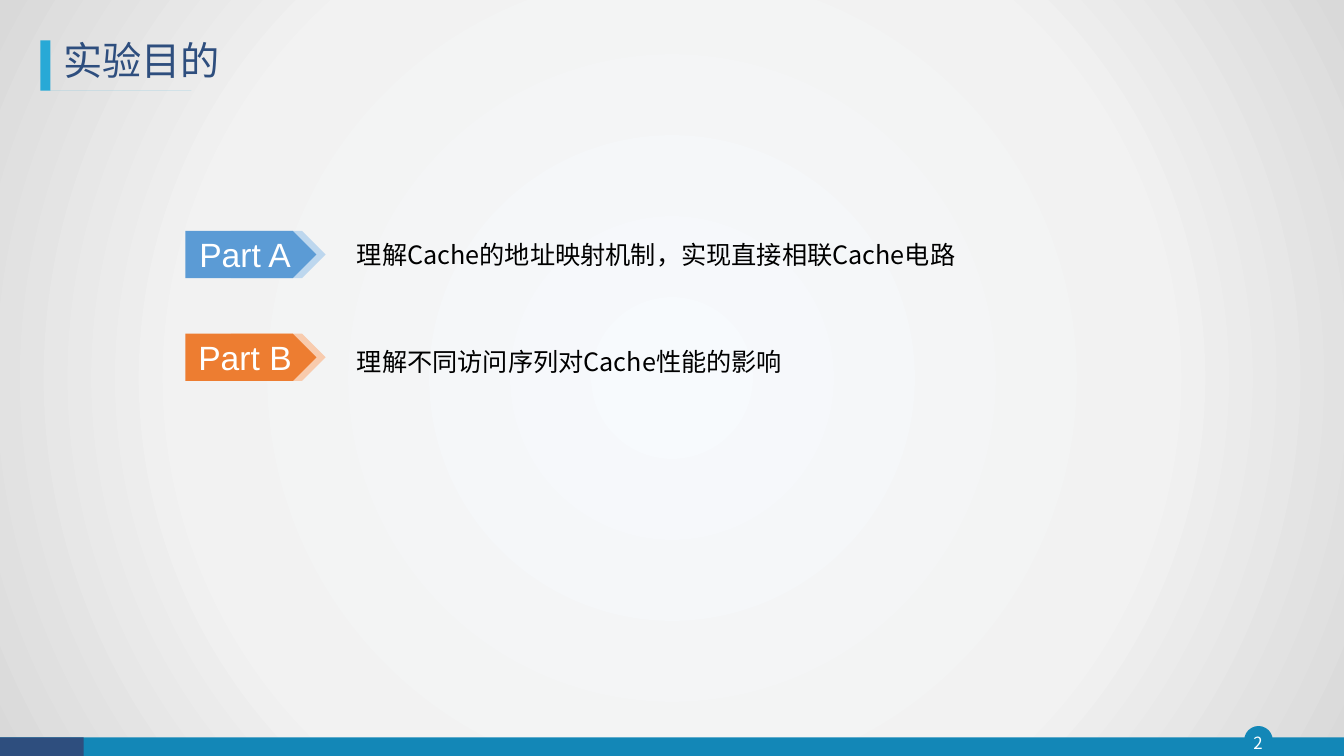
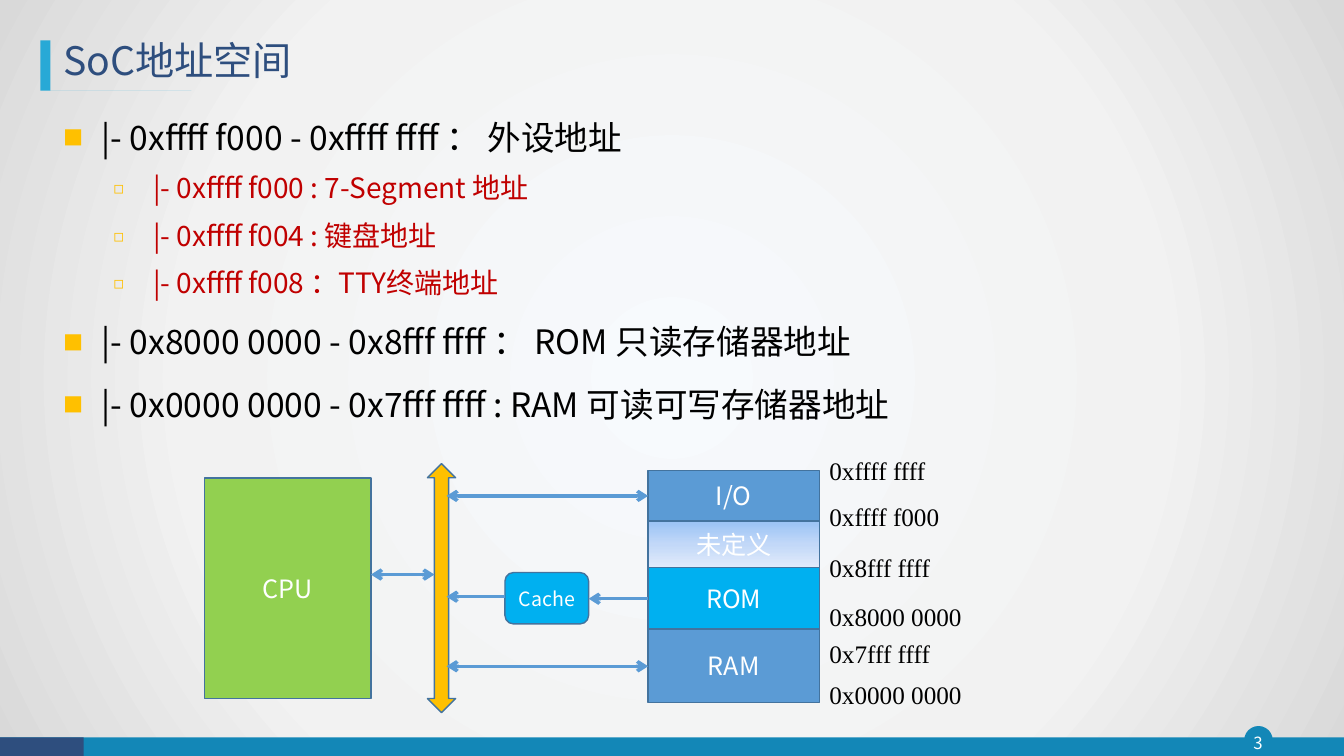
from dataclasses import dataclass
from itertools import accumulate

from lxml.etree import SubElement as Sub
from pptx import Presentation
from pptx.dml.color import RGBColor as RGB
from pptx.enum.shapes import MSO_CONNECTOR as Conn, MSO_SHAPE as Kind
from pptx.enum.text import MSO_ANCHOR as Anchor, PP_ALIGN as Align
from pptx.oxml import parse_xml
from pptx.oxml.ns import nsdecls, qn
from pptx.util import Inches, Pt

# The grid: square cells, ten to the inch.
CELL = Inches(0.1)
COLS, ROWS = 133.33, 75


@dataclass(frozen=True)
class Theme:
    sans: str = "Noto Sans CJK SC"
    arial: str = "Arial"
    serif: str = "Times New Roman"
    navy: str = "2E4E7E"
    teal: str = "1387B7"
    sky: str = "28A9D6"
    blue: str = "5B9BD5"
    pale: str = "BDD7EE"
    orange: str = "ED7D31"
    peach: str = "F8CBAD"
    cyan: str = "00B0F0"
    green: str = "92D050"
    gold: str = "FFC000"
    red: str = "C00000"
    edge: str = "43739E"
    black: str = "000000"
    white: str = "FFFFFF"
    back: tuple = ((0, "F7FAFD"), (63, "F2F2F2"), (100, "D9D9D9"))
    haze: tuple = ((0, "9AC3F5"), (50, "C2D8F8"), (100, "E1EBFB"))
    title: int = 28
    head: int = 24
    sub: int = 20
    text: int = 18
    small: int = 14
    page: int = 12


T = Theme()


def grid(*cells):
    return [round(n * CELL) for n in cells]


def fade(stops, shade):
    """Gradient fill element; shade is the XML that gives its direction."""
    marks = "".join(
        f'<a:gs pos="{pos * 1000}"><a:srgbClr val="{tint}"/></a:gs>'
        for pos, tint in stops)
    return parse_xml(f'<a:gradFill {nsdecls("a")} rotWithShape="1">'
                     f'<a:gsLst>{marks}</a:gsLst>{shade}</a:gradFill>')


def swap(props, fill):
    """Put a gradient in the place of a solid fill."""
    old = props.find(qn("a:solidFill"))
    props.replace(old, fill)


def style(para, size, tint, face):
    for run in para.runs:
        font = run.font
        font.size, font.name = Pt(size), face
        font.color.rgb = RGB.from_string(tint)
        Sub(font._element, qn("a:ea")).set("typeface", face)


def write(shape, text, size, tint, face=T.sans, align=Align.LEFT,
          anchor=Anchor.MIDDLE, pad=None, lead=1.0):
    frame = shape.text_frame
    frame.word_wrap = True
    frame.vertical_anchor = anchor
    if pad is not None:
        frame.margin_left = frame.margin_right = pad
        frame.margin_top = frame.margin_bottom = pad
    frame.text = text
    para = frame.paragraphs[0]
    para.alignment, para.line_spacing = align, lead
    style(para, size, tint, face)


def label(slide, area, text, size, tint, **look):
    write(slide.shapes.add_textbox(*grid(*area)), text, size, tint, **look)


def paint(shape, fill, edge=None):
    shape.shadow.inherit = False
    shape.fill.solid()
    shape.fill.fore_color.rgb = RGB.from_string(fill)
    if edge:
        shape.line.color.rgb = RGB.from_string(edge)
        shape.line.width = Pt(1)
    else:
        shape.line.fill.background()
    return shape


def block(slide, kind, area, fill, edge=None):
    return paint(slide.shapes.add_shape(kind, *grid(*area)), fill, edge)


def node(slide, kind, area, fill, text, size=T.text):
    """Outlined diagram block with a centred caption."""
    shape = block(slide, kind, area, fill, T.edge)
    write(shape, text, size, T.white, align=Align.CENTER)
    return shape


def arrow(slide, start, end, y, both=False):
    link = slide.shapes.add_connector(Conn.STRAIGHT, *grid(start, y, end, y))
    link.line.color.rgb = RGB.from_string(T.blue)
    link.line.width = Pt(2.5)
    Sub(link._element.spPr, qn("a:effectLst"))
    ends = ("headEnd", "tailEnd") if both else ("tailEnd",)
    for end in ends:
        Sub(link.line._get_or_add_ln(), qn(f"a:{end}")).set("type", "arrow")


def bullet(para, char, left, hang):
    props = para._p.get_or_add_pPr()
    props.set("marL", str(round(left * CELL)))
    props.set("indent", str(round(-hang * CELL)))
    tint = Sub(Sub(props, qn("a:buClr")), qn("a:srgbClr"))
    tint.set("val", T.gold)
    Sub(props, qn("a:buSzPct")).set("val", "60000")
    Sub(props, qn("a:buFont")).set("typeface", T.sans)
    Sub(props, qn("a:buChar")).set("char", char)


def outline(slide, area, items):
    """Bulleted list of (level, text) items."""
    looks = (("■", 3.8, 3.8, 10, T.head, T.black),
             ("◻", 8.9, 3.9, 5, T.sub, T.red))
    frame = slide.shapes.add_textbox(*grid(*area)).text_frame
    frame.word_wrap = True
    frame.text = "\n".join(text for _, text in items)
    for para, (level, _) in zip(frame.paragraphs, items):
        char, left, hang, gap, size, tint = looks[level]
        para.level = level
        para.line_spacing, para.space_before = 1.2, Pt(gap)
        bullet(para, char, left, hang)
        style(para, size, tint, T.sans)


def emblem(slide):
    """Upright bars and the rule beside the title."""
    top, foot = 3.9, 8.7
    pen = slide.shapes.build_freeform(5.4, top, scale=float(CELL))
    pen.add_line_segments([
        (5.4, 8.55), (18.7, 8.55), (18.7, foot), (5.2, foot), (5.2, 4.1),
        (4.7, 4.1), (4.7, foot), (3.6, foot), (3.6, top), (3.9, top),
        (3.9, 8.4), (4.4, 8.4), (4.4, top)])
    paint(pen.convert_to_shape(), T.sky)


def backdrop(master):
    master.background.fill.solid()
    focus = ('<a:path path="circle"><a:fillToRect l="50000" t="50000" '
             'r="50000" b="50000"/></a:path>')
    swap(master._element.find(f".//{qn('p:bgPr')}"), fade(T.back, focus))


def page(deck, title, number):
    """Blank slide with footer band, page number and title."""
    slide = deck.slides.add_slide(deck.slide_layouts[6])
    band = 73.15
    block(slide, Kind.OVAL, (123.5, 72.1, 2.7, 2.7), T.teal, T.teal)
    for width, tint in ((COLS, T.teal), (8.3, T.navy)):
        block(slide, Kind.RECTANGLE, (0, band, width, ROWS - band), tint)
    label(slide, (123.2, 72.1, 3.2, 3.1), str(number), T.page, T.white,
          align=Align.CENTER, pad=0)
    emblem(slide)
    label(slide, (5.3, 2.8, 115, 6.8), title, T.title, T.navy, lead=0.9)
    return slide


def goals(slide):
    parts = (
        ("Part A", T.blue, T.pale, 1.0,
         "理解Cache的地址映射机制，实现直接相联Cache电路"),
        ("Part B", T.orange, T.peach, 1.3,
         "理解不同访问序列对Cache性能的影响"))
    for row, (name, tint, light, lead, text) in enumerate(parts):
        y = 22.9 + 10.2 * row
        block(slide, Kind.PENTAGON, (22.9, y, 9.4, 4.7), light)
        tag = block(slide, Kind.PENTAGON, (18.4, y, 13, 4.7), tint)
        write(tag, name, T.head, T.white, T.arial, Align.CENTER)
        label(slide, (35.4, y - 1.25, 74.9, 7.2), text, T.text, T.black,
              pad=0, lead=lead)


def memory(slide, x, top, width):
    """Stacked address ranges with their bounds at the right."""
    areas = (("I/O", 5, T.blue), ("未定义", 4.6, T.blue),
             ("ROM", 6.1, T.cyan), ("RAM", 7.3, T.blue))
    tops = accumulate((high for _, high, _ in areas), initial=top)
    for (name, high, tint), y in zip(areas, tops):
        shape = node(slide, Kind.RECTANGLE, (x, y, width, high), tint, name)
        if name == "未定义":
            swap(shape._element.spPr,
                 fade(T.haze, '<a:lin ang="5400000" scaled="0"/>'))
    bounds = (("0xffff ffff", 44.7), ("0xffff f000", 49.2),
              ("0x8fff ffff", 54.3), ("0x8000 0000", 59.2),
              ("0x7fff ffff", 62.8), ("0x0000 0000", 66.9))
    for text, y in bounds:
        label(slide, (x + width, y, 17, 4), text, T.text, T.black,
              face=T.serif, anchor=Anchor.TOP)


def space(slide):
    outline(slide, (5.3, 10.3, 91.1, 61.6), (
        (0, "|- 0xffff f000 - 0xffff ffff ： 外设地址"),
        (1, "|- 0xffff f000 : 7-Segment 地址"),
        (1, "|- 0xffff f004 : 键盘地址"),
        (1, "|- 0xffff f008 ：TTY终端地址"),
        (0, "|- 0x8000 0000 - 0x8fff ffff ： ROM 只读存储器地址"),
        (0, "|- 0x0000 0000 - 0x7fff ffff : RAM 可读可写存储器地址")))
    bus, mem = 44.3, 64.3
    node(slide, Kind.RECTANGLE, (20.3, 47.4, 16.5, 21.9), T.green, "CPU")
    node(slide, Kind.ROUNDED_RECTANGLE, (50.1, 56.8, 8.3, 5.1), T.cyan,
         "Cache", T.small)
    memory(slide, mem, 46.7, 17)
    block(slide, Kind.UP_DOWN_ARROW, (42.4, 46, 2.8, 24.7), T.gold, T.edge)
    arrow(slide, 36.8, 43.1, 57, both=True)
    arrow(slide, mem, 58.4, 59.4)
    arrow(slide, 50.1, bus, 59.2)
    for y in (49.2, 66.1):
        arrow(slide, mem, bus, y, both=True)


def main():
    deck = Presentation()
    deck.slide_width, deck.slide_height = grid(COLS, ROWS)
    backdrop(deck.slide_master)
    pages = (("实验目的", goals), ("SoC地址空间", space))
    for number, (title, fill) in enumerate(pages, start=2):
        fill(page(deck, title, number))
    deck.save("out.pptx")


if __name__ == "__main__":
    main()
